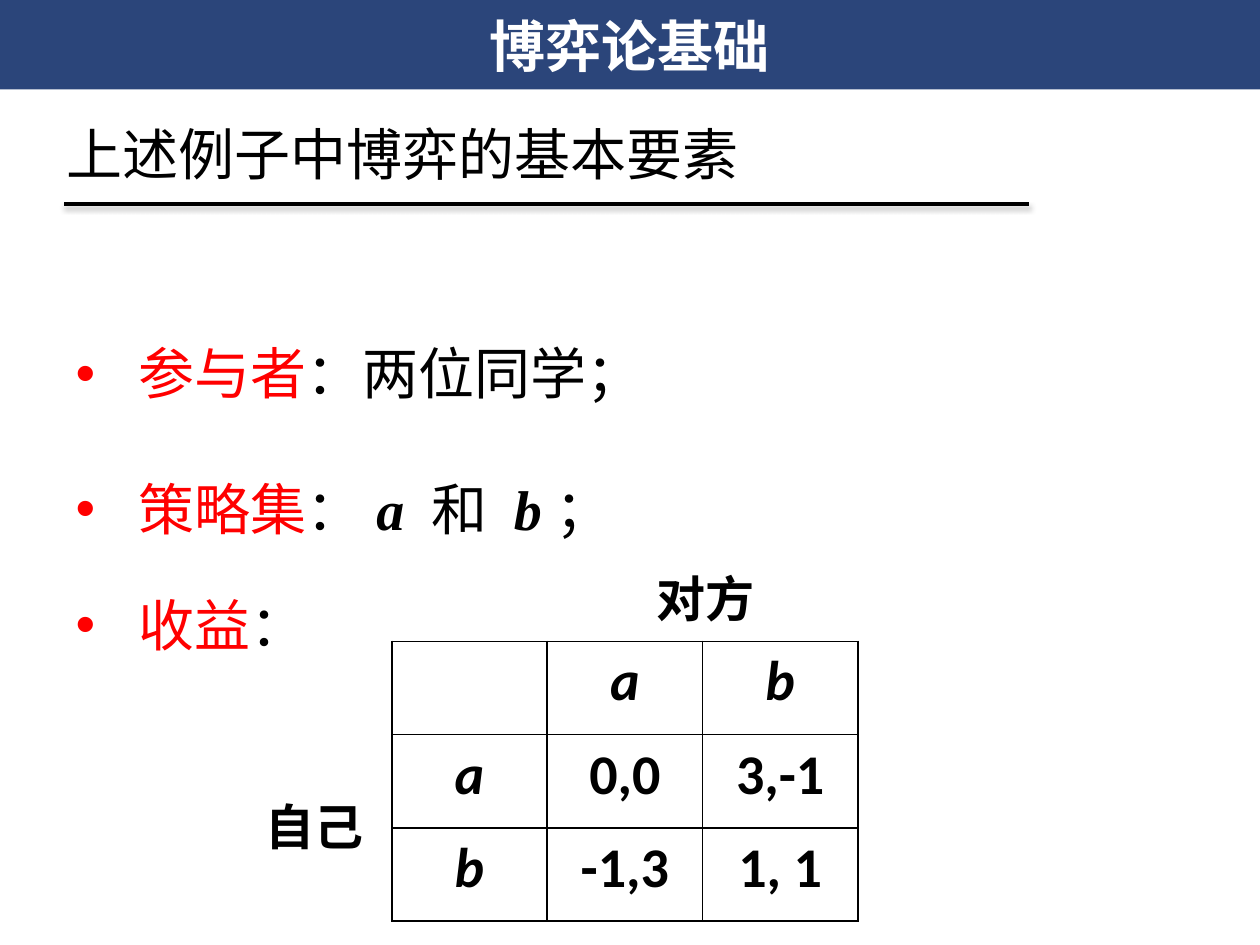
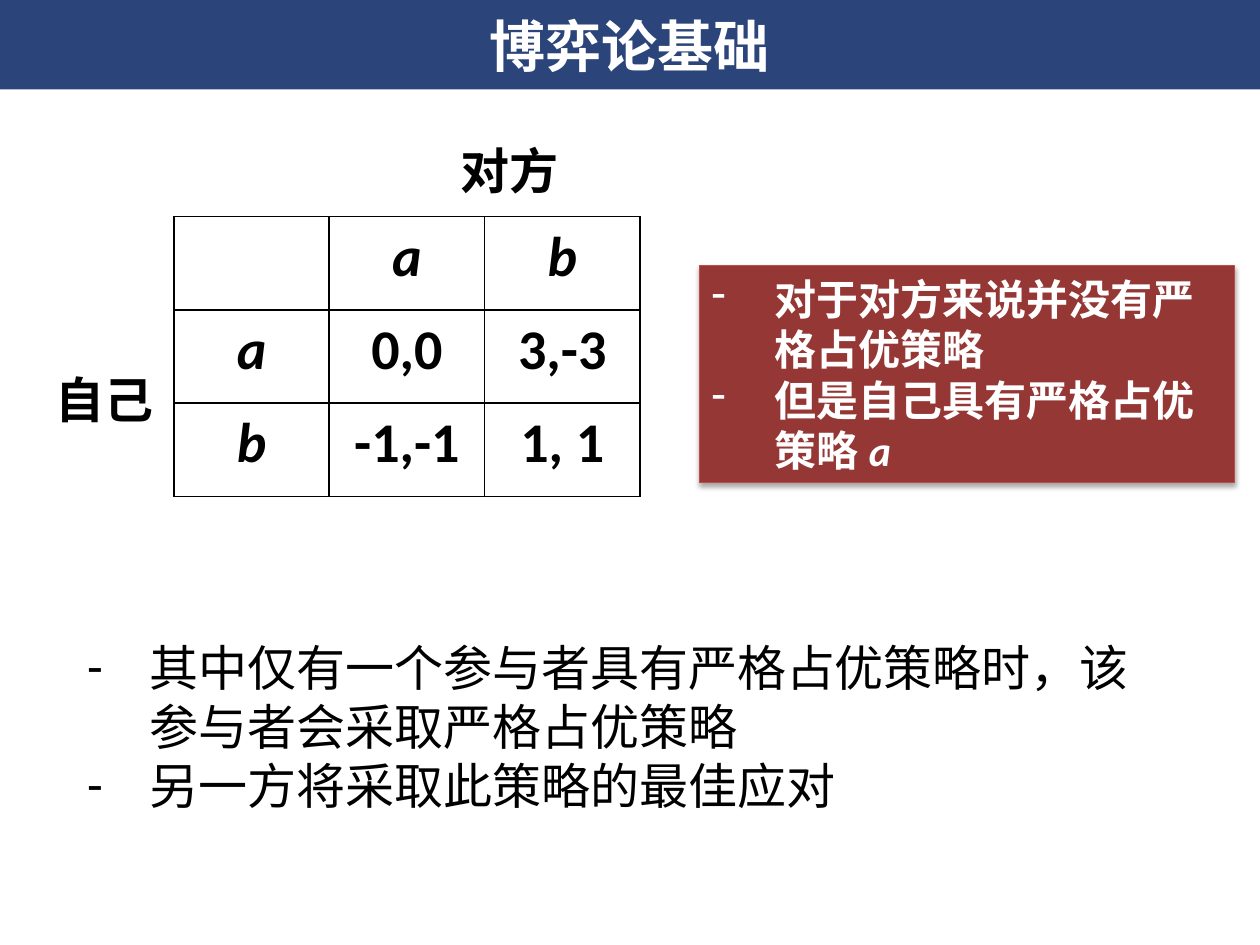
from dataclasses import dataclass
from typing import NamedTuple

from lxml.etree import SubElement
from pptx import Presentation
from pptx.dml.color import RGBColor as RGB
from pptx.enum.lang import MSO_LANGUAGE_ID as Lang
from pptx.enum.shapes import MSO_CONNECTOR as Connector, MSO_SHAPE as Shape
from pptx.enum.text import MSO_ANCHOR as Anchor, MSO_AUTO_SIZE as AutoSize, PP_ALIGN as Align
from pptx.oxml.ns import qn
from pptx.util import Inches, Pt

COLUMNS, ROWS = 100, 75
WIDTH, HEIGHT = Inches(10), Inches(7.5)
TITLE_AND_CONTENT = 1


@dataclass(frozen=True)
class Theme:
    navy: str = "002060"
    black: str = "000000"
    white: str = "FFFFFF"
    red: str = "FF0000"
    brick: str = "953735"
    brick_edge: str = "BF4C48"
    sans: str = "Calibri"
    serif: str = "Times New Roman"
    large: int = 32
    medium: int = 28
    small: int = 24


THEME = Theme()


class Box(NamedTuple):
    """Left, top, width and height in grid columns and rows."""
    left: float
    top: float
    width: float
    height: float

    def emu(self) -> tuple[int, int, int, int]:
        return x(self.left), y(self.top), x(self.width), y(self.height)


class Style(NamedTuple):
    font: str
    size: int
    color: str = THEME.black
    bold: bool = False
    align: Align = Align.LEFT


class Run(NamedTuple):
    text: str
    color: str | None = None
    bold: bool = False
    italic: bool = False


class Line(NamedTuple):
    runs: tuple[Run, ...]
    gap: int = 0
    bullet: str = ""


class Payoffs(NamedTuple):
    """A 2 x 2 game: outcomes by row, and where its table and labels stand."""
    outcomes: tuple[tuple[str, str], ...]
    table: Box
    other: Box
    self_: Box


TITLE = Style(THEME.sans, THEME.large, THEME.white, True, Align.CENTER)
TEXT = Style(THEME.serif, THEME.large)
NOTE = Style(THEME.serif, THEME.medium)
LABEL = Style(THEME.serif, THEME.medium, bold=True)
CELL = Style(THEME.sans, THEME.large, bold=True, align=Align.CENTER)
CALLOUT = Style(THEME.sans, THEME.small, THEME.white, True)


def x(columns: float) -> int:
    return round(WIDTH * columns / COLUMNS)


def y(rows: float) -> int:
    return round(HEIGHT * rows / ROWS)


def line(text: str, bullet: str = "") -> Line:
    return Line((Run(text),), bullet=bullet)


def write(tf, style: Style, *lines: Line) -> None:
    tf.word_wrap = True
    tf.auto_size = AutoSize.NONE
    tf.text = "\n".join("" for _ in lines)
    for p, content in zip(tf.paragraphs, lines):
        p.alignment = style.align
        p.space_before = Pt(content.gap)
        if content.bullet:
            pPr = p._p.get_or_add_pPr()
            pPr.set("marL", str(Inches(0.5)))
            pPr.set("indent", str(-Inches(0.5)))
            SubElement(pPr, qn("a:buChar"), char=content.bullet)
        for run in content.runs:
            r = p.add_run()
            r.text = run.text
            font = r.font
            font.name, font.size = style.font, Pt(style.size)
            font.color.rgb = RGB.from_string(run.color or style.color)
            font.bold = style.bold or run.bold
            font.italic = run.italic
            font.language_id = Lang.SIMPLIFIED_CHINESE


def place(s, box: Box) -> None:
    s.left, s.top, s.width, s.height = box.emu()


def paint(s, color: str) -> None:
    s.fill.solid()
    s.fill.fore_color.rgb = RGB.from_string(color)


def add_shadow(s, opacity: int) -> None:
    """Cast a soft black shadow straight down; opacity is in percent."""
    effects = SubElement(s._element.spPr, qn("a:effectLst"))
    shadow = SubElement(effects, qn("a:outerShdw"), blurRad=str(Pt(3.1)),
                        dist=str(Pt(1.7)), dir="5400000", rotWithShape="0")
    color = SubElement(shadow, qn("a:srgbClr"), val=THEME.black)
    SubElement(color, qn("a:alpha"), val=str(opacity * 1000))


def add_text(slide, box: Box, style: Style, text: str) -> None:
    s = slide.shapes.add_textbox(*box.emu())
    write(s.text_frame, style, line(text))


def add_page(prs, body: Box, style: Style, *items: Line):
    """Add a slide with the shared title band and a bulleted body."""
    slide = prs.slides.add_slide(prs.slide_layouts[TITLE_AND_CONTENT])
    title = slide.shapes.title
    place(title, Box(0, 0, COLUMNS, 7.1))
    paint(title, THEME.navy)
    band_color = title._element.spPr.find(".//" + qn("a:srgbClr"))
    SubElement(band_color, qn("a:alpha"), val="83000")
    write(title.text_frame, TITLE, line("博弈论基础"))
    title.text_frame.vertical_anchor = Anchor.MIDDLE

    content = slide.placeholders[1]
    place(content, body)
    write(content.text_frame, style, *items)
    return slide


def add_heading(slide, text: str) -> None:
    add_text(slide, Box(4.3, 9, 85.8, 6.4), TEXT, text)
    rule = slide.shapes.add_connector(Connector.STRAIGHT, x(5.1), y(16.2), x(81.7), y(16.2))
    rule.line.color.rgb = RGB.from_string(THEME.black)
    rule.line.width = Pt(2)
    add_shadow(rule, 38)


def add_borders(cell) -> None:
    tcPr = cell._tc.get_or_add_tcPr()
    for side in ("L", "R", "T", "B"):
        border = SubElement(tcPr, qn(f"a:ln{side}"), w=str(Pt(1)))
        fill = SubElement(border, qn("a:solidFill"))
        SubElement(fill, qn("a:srgbClr"), val=THEME.black)


def add_payoffs(slide, game: Payoffs) -> None:
    strategies = ("a", "b")
    grid = [("", *strategies), *((s, *row) for s, row in zip(strategies, game.outcomes))]
    table = slide.shapes.add_table(len(grid), len(grid[0]), *game.table.emu()).table
    table.first_row = table.horz_banding = False
    for i, row in enumerate(grid):
        for j, text in enumerate(row):
            cell = table.cell(i, j)
            add_borders(cell)
            cell.fill.background()
            if text:
                write(cell.text_frame, CELL, Line((Run(text, italic=text in strategies),)))
    add_text(slide, game.other, LABEL, "对方")
    add_text(slide, game.self_, LABEL, "自己")


def add_callout(slide, box: Box, *items: Line) -> None:
    s = slide.shapes.add_shape(Shape.RECTANGLE, *box.emu())
    paint(s, THEME.brick)
    s.line.color.rgb = RGB.from_string(THEME.brick_edge)
    s.line.width = Pt(0.75)
    add_shadow(s, 35)
    write(s.text_frame, CALLOUT, *items)


def add_elements_slide(prs) -> None:
    def term(text: str) -> Run:
        return Run(text, THEME.red)

    def symbol(text: str) -> Run:
        return Run(text, bold=True, italic=True)

    slide = add_page(
        prs, Box(5, 26.4, 85.8, 26.6), TEXT,
        Line((term("参与者"), Run("：两位同学；")), bullet="•"),
        Line((term("策略集"), Run("："), symbol("a "), Run("和 "), symbol("b"), Run("；")),
             39, "•"),
        Line((term("收益"), Run("：")), 28, "•"))
    add_heading(slide, "上述例子中博弈的基本要素")
    add_payoffs(slide, Payoffs((("0,0", "3,-1"), ("-1,3", "1, 1")),
                               table=Box(31.1, 50.9, 37, 22.2),
                               other=Box(51.1, 44.6, 10.2, 5.7),
                               self_=Box(20.1, 62.7, 10.2, 5.7)))


def add_dominance_slide(prs) -> None:
    slide = add_page(
        prs, Box(5.9, 50.1, 85.8, 15.1), NOTE,
        line("其中仅有一个参与者具有严格占优策略时，该参与者会采取严格占优策略", "-"),
        line("另一方将采取此策略的最佳应对", "-"))
    add_payoffs(slide, Payoffs((("0,0", "3,-3"), ("-1,-1", "1, 1")),
                               table=Box(13.8, 17.2, 37, 22.2),
                               other=Box(35.6, 10.7, 14.4, 5.7),
                               self_=Box(3.4, 28.8, 10.2, 5.7)))
    add_callout(slide, Box(55.5, 21.1, 42.5, 17.2),
                line("对于对方来说并没有严格占优策略", "-"),
                Line((Run("但是自己具有严格占优策略"), Run("a", italic=True)), bullet="-"))


def main() -> None:
    prs = Presentation()
    prs.slide_width, prs.slide_height = WIDTH, HEIGHT
    add_elements_slide(prs)
    add_dominance_slide(prs)
    prs.save("out.pptx")


if __name__ == "__main__":
    main()
